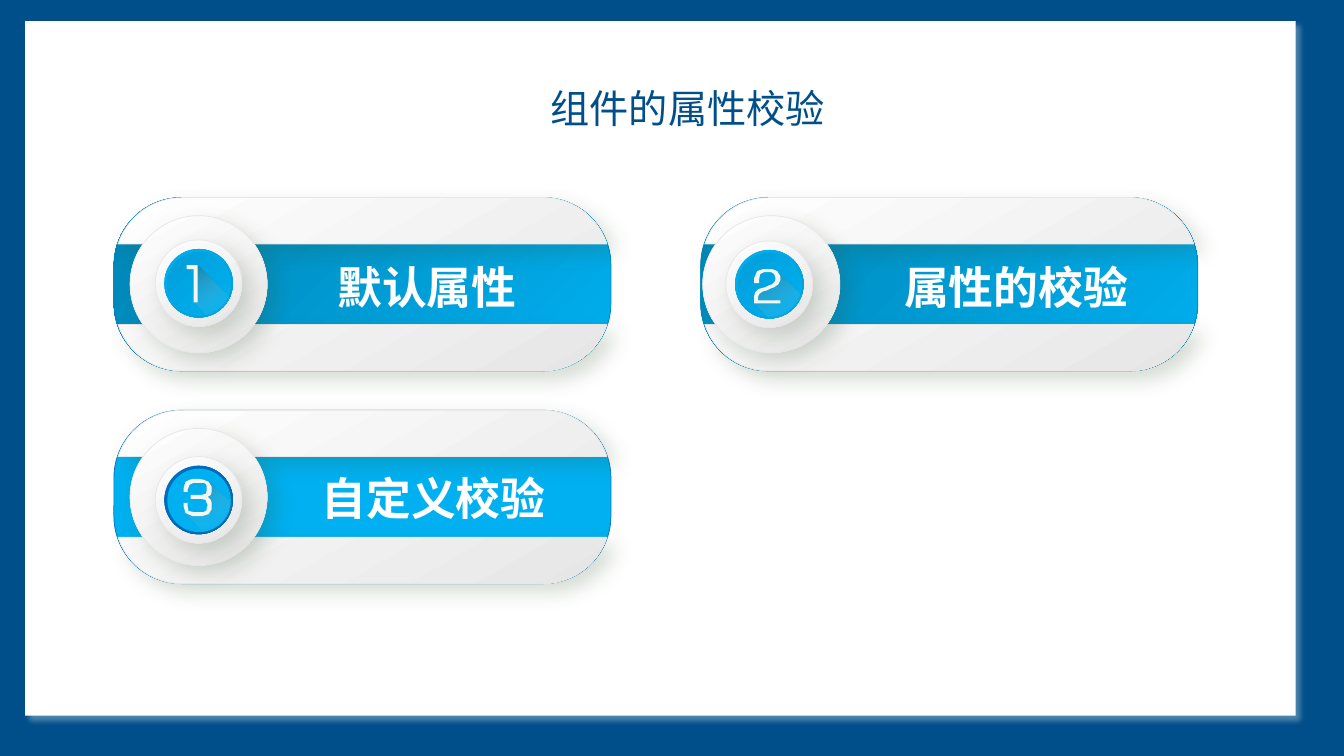
from lxml import etree
from pptx import Presentation
from pptx.dml.color import RGBColor
from pptx.enum.shapes import MSO_SHAPE
from pptx.enum.text import MSO_ANCHOR, MSO_AUTO_SIZE, PP_ALIGN
from pptx.oxml.ns import qn
from pptx.util import Inches, Pt

RECT, ROUNDED, OVAL = MSO_SHAPE.RECTANGLE, MSO_SHAPE.ROUNDED_RECTANGLE, MSO_SHAPE.OVAL
MIDDLE, CENTER, NO_FIT = MSO_ANCHOR.MIDDLE, PP_ALIGN.CENTER, MSO_AUTO_SIZE.NONE

NAVY, WHITE, SKY, TEAL, AZURE = "004F8A", "FFFFFF", "00B0F0", "0084B4", "009ED8"
CARD_W, CARD_H, CAP_H = 4.93, 1.72, 0.46

# Fills: a hex string, or (angle, stops); a stop is (percent, colour[, opacity])
SILVER = (60, [(0, WHITE), (100, "E7E6E6")])
LONG_SHADE = (60, [(0, "3F3F3F", 40), (76, WHITE, 0)])
# Shadows: colour, opacity, blur, distance, direction
SOFT = ("32522C", 20, 15, 8, 45)
GLOW = (SKY, 40, 5, 0, 0)
PANEL_SHADOW = (WHITE, 30, 4, 5, 45)
SILVER_LOOK = {"fill": SILVER, "line": ("E7E6E6", 0.5), "shadow": SOFT}

# Digit outlines and their long shades, in hundredths of an inch
DIGITS = {
    1: [(7, 37), (7, 4), (0, 4), (0, 0), (11, 0), (11, 37)],
    2: [(0, 34), (0, 27), (1, 23), (4, 20), (7, 19), (11, 18), (15, 16), (18, 15),
        (20, 13), (21, 11), (21, 8), (20, 5), (17, 3), (10, 3), (6, 5), (5, 10),
        (5, 14), (0, 14), (0, 9), (3, 2), (9, 0), (18, 0), (23, 2), (26, 7),
        (26, 11), (24, 15), (20, 18), (17, 19), (13, 21), (9, 22), (6, 24),
        (5, 25), (4, 27), (4, 31), (26, 31), (26, 34)],
    3: [(28, 24), (28, 30), (25, 35), (19, 37), (9, 37), (2, 34), (0, 27), (0, 24),
        (4, 24), (4, 27), (5, 32), (10, 33), (20, 33), (22, 32), (23, 31), (23, 29),
        (24, 26), (23, 24), (22, 21), (18, 20), (7, 20), (7, 16), (18, 16), (22, 15),
        (23, 12), (23, 7), (22, 5), (20, 4), (10, 4), (6, 6), (4, 11), (4, 13),
        (0, 13), (0, 10), (1, 6), (2, 3), (6, 1), (10, 0), (15, 0), (20, 1),
        (25, 3), (28, 8), (28, 13), (27, 16), (24, 18), (27, 21)],
}
SHADES = {
    1: [(11, 0), (8, 37), (30, 61), (51, 40)],
    2: [(23, 2), (22, 15), (3, 23), (1, 33), (0, 34), (27, 62), (55, 34)],
    3: [(25, 3), (24, 4), (24, 15), (22, 18), (25, 26), (24, 33), (14, 35),
        (2, 33), (2, 34), (27, 60), (55, 32)],
}

CARDS = [
    {"number": 1, "label": "默认属性", "at": (1.13, 1.96), "disc": (1.29, 2.14),
     "badge": (1.54, 2.38), "digit": (1.85, 2.63), "label_at": (2.51, 2.52, 3.45, 0.65),
     "band": (225, [(0, SKY), (100, TEAL)]), "edge": TEAL,
     "rim": (45, [(0, SKY), (100, AZURE)]), "core": (45, [(0, AZURE), (100, SKY)])},
    {"number": 3, "label": "自定义校验", "at": (1.13, 4.07), "disc": (1.29, 4.25),
     "badge": (1.54, 4.53), "digit": (1.82, 4.75), "label_at": (2.61, 4.61, 3.38, 0.65),
     "band": SKY, "edge": "0070C0",
     "rim": (45, [(0, "0070C0"), (100, "0065AD")]), "core": SKY},
    {"number": 2, "label": "属性的校验", "at": (6.95, 1.96), "disc": (6.97, 2.14),
     "badge": (7.2, 2.39), "digit": (7.48, 2.67), "label_at": (7.94, 2.52, 4.28, 0.65),
     "band": (45, [(0, TEAL), (100, SKY)]), "edge": TEAL,
     "rim": (45, [(0, SKY), (100, AZURE)]), "core": (45, [(0, AZURE), (100, SKY)])},
]


def rgb(hex_colour):
    return RGBColor.from_string(hex_colour)


def add_alpha(colour_element, percent):
    etree.SubElement(colour_element, qn("a:alpha"), val=str(percent * 1000))


def paint(shape, fill, line=None, shadow=None):
    """Set fill, outline (colour, points) and outer shadow."""
    if isinstance(fill, str):
        shape.fill.solid()
        shape.fill.fore_color.rgb = rgb(fill)
    else:
        angle, stops = fill
        shape.fill.gradient()
        shape.fill.gradient_angle = 360 - angle
        for stop, (percent, colour, *_) in zip(shape.fill.gradient_stops, stops):
            stop.position = percent / 100
            stop.color.rgb = rgb(colour)
        colours = shape.element.spPr.iter(qn("a:srgbClr"))
        for element, (_, _, *opacity) in zip(list(colours), stops):
            if opacity:
                add_alpha(element, opacity[0])
    if line:
        shape.line.color.rgb = rgb(line[0])
        shape.line.width = Pt(line[1])
    else:
        shape.line.fill.background()
    shape.shadow.inherit = False
    if shadow:
        colour, opacity, blur, distance, direction = shadow
        effects = shape.element.spPr.find(qn("a:effectLst"))
        outer = etree.SubElement(
            effects, qn("a:outerShdw"), blurRad=str(Pt(blur)), dist=str(Pt(distance)),
            dir=str(direction * 60000), algn="tl", rotWithShape="0")
        add_alpha(etree.SubElement(outer, qn("a:srgbClr"), val=colour), opacity)


def add_preset(slide, kind, box, **look):
    shape = slide.shapes.add_shape(kind, *map(Inches, box))
    paint(shape, **look)
    return shape


def add_outline(slide, origin, contours, **look):
    """Draw closed contours, given in inches from the origin, as one shape."""
    left, top = origin
    placed = [[(Inches(left + x), Inches(top + y)) for x, y in c] for c in contours]
    builder = slide.shapes.build_freeform(*placed[0][0], scale=1.0)
    for index, (start, *others) in enumerate(placed):
        if index:
            builder.move_to(*start)
        builder.add_line_segments(others, close=True)
    paint(builder.convert_to_shape(), **look)


def cap_contours(steps=12):
    """Top and bottom caps of a card, mirrored from one rounded corner."""
    controls = [(0.04, CAP_H), (0.13, 0.19), (0.38, 0), (0.68, 0)]
    corner = []
    for step in range(steps + 1):
        t = step / steps
        weights = ((1 - t) ** 3, 3 * t * (1 - t) ** 2, 3 * t * t * (1 - t), t ** 3)
        corner.append(tuple(sum(w * p[axis] for w, p in zip(weights, controls))
                            for axis in (0, 1)))
    top = corner + [(CARD_W - x, y) for x, y in reversed(corner)]
    return [top, [(x, CARD_H - y) for x, y in top]]


def write(shape, text, frame_format, font_format, colour):
    """Put one centred line of text into a shape."""
    frame = shape.text_frame
    for name, value in frame_format.items():
        setattr(frame, name, value)
    paragraph = frame.paragraphs[0]
    paragraph.alignment = CENTER
    run = paragraph.add_run()
    run.text = text
    for name, value in font_format.items():
        setattr(run.font, name, value)
    run.font.color.rgb = rgb(colour)
    latin = run.font._element.find(qn("a:latin"))
    latin.addnext(latin.makeelement(qn("a:ea"), {"typeface": font_format["name"]}))


def add_title(slide, text):
    title = slide.shapes.title
    box = dict(zip(("left", "top", "width", "height"), (3.83, 0.78, 5.98, 0.57)))
    for name, value in box.items():
        setattr(title, name, Inches(value))
    paint(title, WHITE, (WHITE, 1))
    write(title, text,
          {"word_wrap": True, "auto_size": NO_FIT, "vertical_anchor": MIDDLE},
          {"name": "Noto Sans CJK JP", "size": Pt(28), "bold": False}, NAVY)


def add_label(slide, text, box):
    label = slide.shapes.add_textbox(*map(Inches, box))
    side, edge = Inches(0.13), Inches(0.07)
    write(label, text,
          {"word_wrap": True, "vertical_anchor": MIDDLE, "margin_left": side,
           "margin_right": side, "margin_top": edge, "margin_bottom": edge},
          {"name": "Noto Sans CJK SC", "size": Pt(32), "bold": True}, WHITE)


def add_card(slide, card):
    band = add_preset(slide, ROUNDED, (*card["at"], CARD_W, CARD_H),
                      fill=card["band"], line=(card["edge"], 0.5))
    band.adjustments[0] = 0.39
    add_outline(slide, card["at"], cap_contours(), **SILVER_LOOK)
    add_preset(slide, OVAL, (*card["disc"], 1.36, 1.36), **SILVER_LOOK)
    left, top = card["badge"]
    rings = [(0, 0.86, SILVER_LOOK), (0.09, 0.68, {"fill": card["rim"]}),
             (0.12, 0.63, {"fill": card["core"]})]
    for inset, size, look in rings:
        add_preset(slide, OVAL, (left + inset, top + inset, size, size), **look)
    digit_looks = [(SHADES, {"fill": LONG_SHADE}),
                   (DIGITS, {"fill": "F6F6F0", "shadow": GLOW})]
    for outlines, look in digit_looks:
        contour = [(x / 100, y / 100) for x, y in outlines[card["number"]]]
        add_outline(slide, card["digit"], [contour], **look)
    add_label(slide, card["label"], card["label_at"])


def main():
    deck = Presentation()
    deck.slide_width, deck.slide_height = Inches(13.33), Inches(7.5)
    slide = deck.slides.add_slide(deck.slide_layouts[5])
    slide.background.fill.solid()
    slide.background.fill.fore_color.rgb = rgb(NAVY)
    panel = add_preset(slide, RECT, (0.25, 0.21, 12.6, 6.89), fill=WHITE,
                       shadow=PANEL_SHADOW)
    slide.shapes.title.element.addprevious(panel.element)
    add_title(slide, "组件的属性校验")
    for card in CARDS:
        add_card(slide, card)
    deck.save("out.pptx")


if __name__ == "__main__":
    main()
